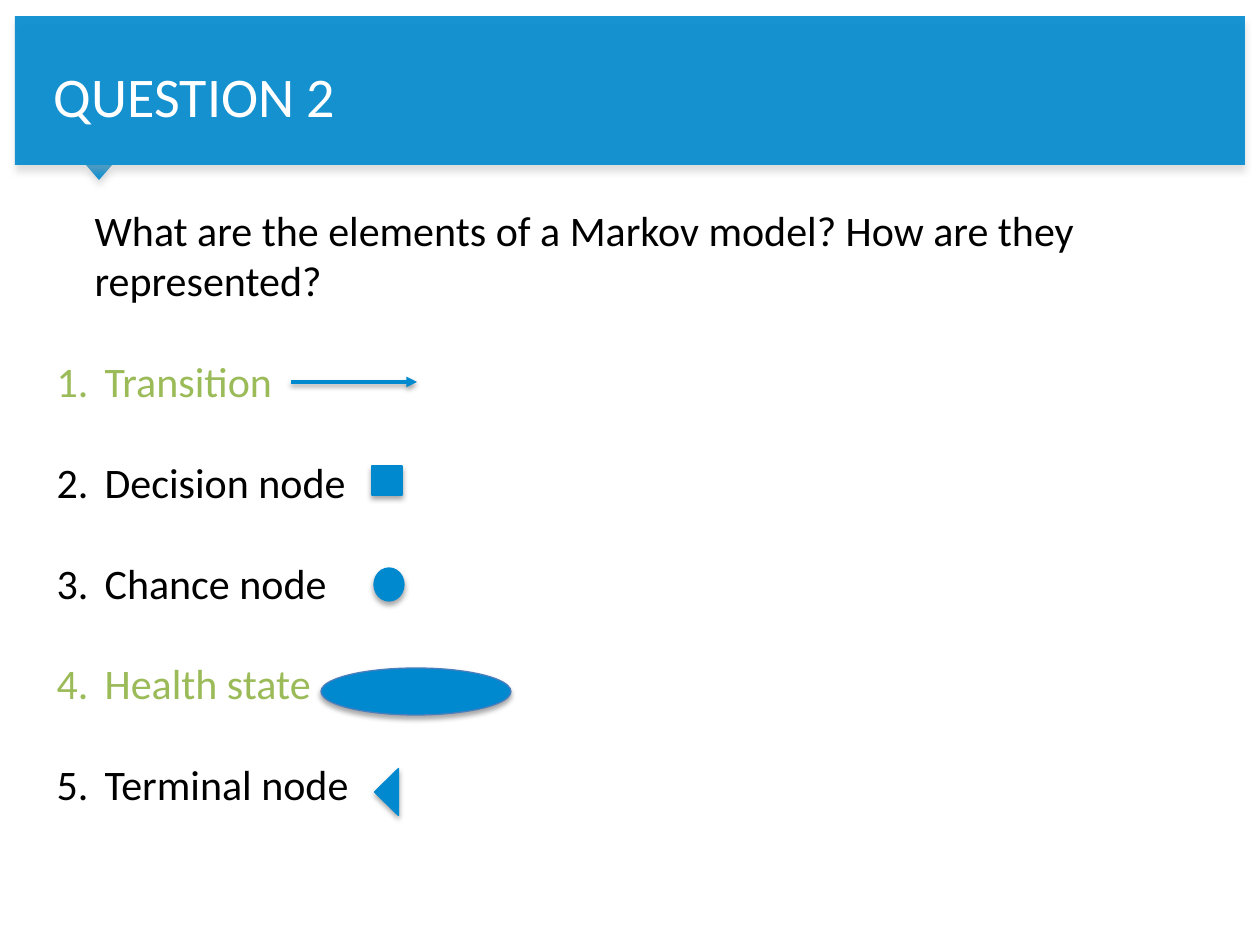
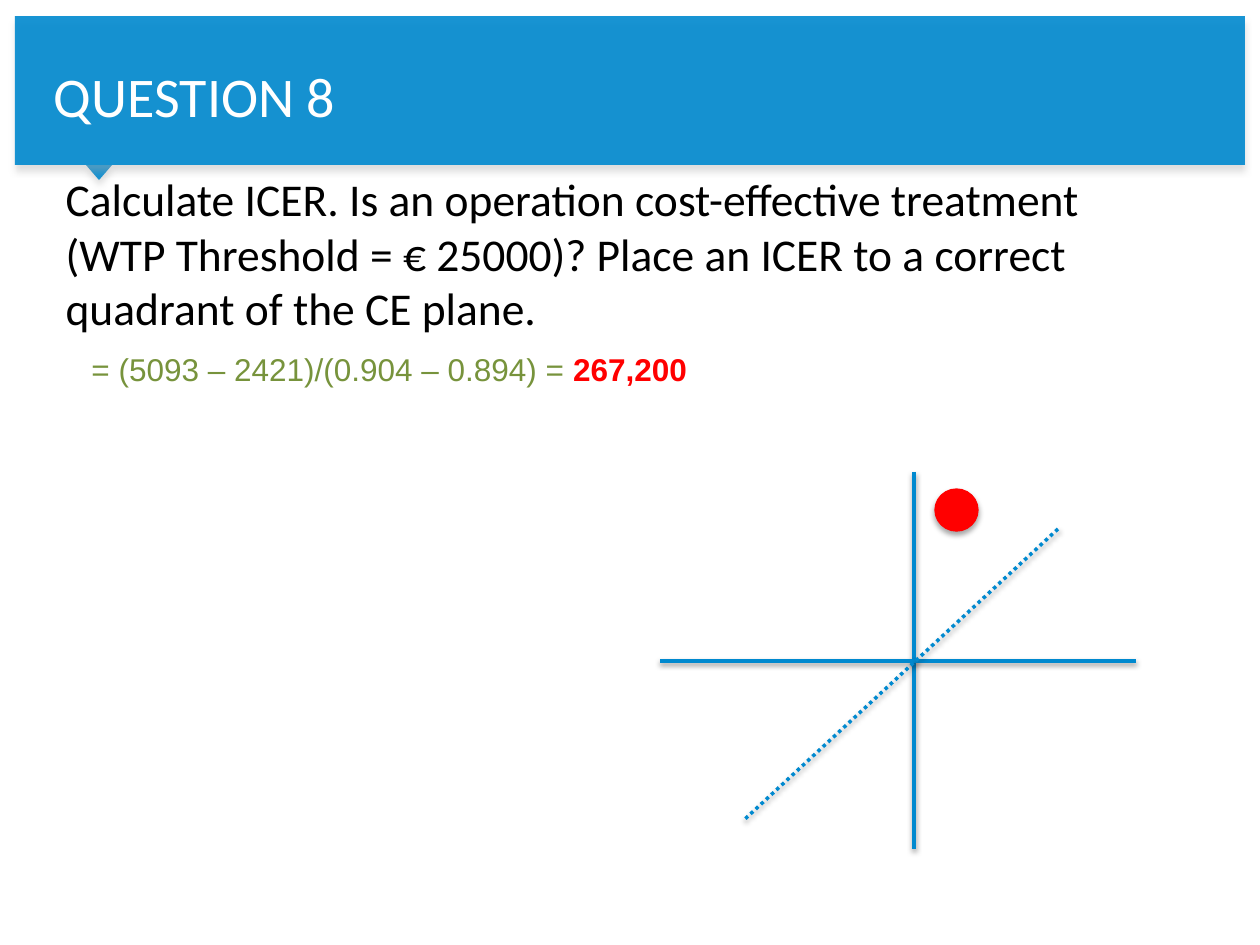
"""Build two quiz slides on Markov model elements and the cost-effectiveness plane."""
from pptx import Presentation
from pptx import util as u
from pptx.dml.color import RGBColor
from pptx.enum import dml, shapes, text
from pptx.oxml import parse_xml
from pptx.oxml.ns import nsdecls, qn
from pptx.oxml.xmlchemy import OxmlElement

COLORS = {
    "blue": "0089CF", "edge": "4B7EBC", "white": "FFFFFF", "black": "000000",
    "answer": "9BBB59", "formula": "77933C", "red": "FF0000", "grey": "A6A6A6",
}
RGB = {name: RGBColor.from_string(code) for name, code in COLORS.items()}
SHADOWS = {
    "band": ("grey", 40, 4, 3),
    "node": ("black", 35, 3.1, 1.8),
    "line": ("black", 38, 3.1, 1.6),
}


def px(*values):
    """Turn pixels into EMU."""
    return [u.Emu(v * 914400 // 126) for v in values]


def style(sp, shadow, fill=None, alpha=None):
    """Give a shape its fill, transparency and shadow."""
    spPr = sp.element.spPr
    if fill:
        sp.fill.solid()
        sp.fill.fore_color.rgb = RGB[fill]
    if alpha:
        a = OxmlElement("a:alpha")
        a.set("val", str(alpha * 1000))
        spPr.find(".//" + qn("a:srgbClr")).append(a)
    color, strength, blur, dist = SHADOWS[shadow]
    for old in spPr.findall(qn("a:effectLst")):
        spPr.remove(old)
    spPr.append(parse_xml(
        f'<a:effectLst {nsdecls("a")}><a:outerShdw blurRad="{u.Pt(blur)}" dist="{u.Pt(dist)}" '
        f'dir="5400000" rotWithShape="0"><a:srgbClr val="{COLORS[color]}">'
        f'<a:alpha val="{strength * 1000}"/></a:srgbClr></a:outerShdw></a:effectLst>'))


prs = Presentation()
prs.slide_width, prs.slide_height = px(1260, 945)
layout = prs.slide_layouts[1]

PAGES = [
    ("QUESTION 2", (44, 198), 24,
     "What are the elements of a Markov model? How are they represented?",
     [("Transition", "answer"), ("Decision node", "black"), ("Chance node", "black"),
      ("Health state", "answer"), ("Terminal node", "black")]),
    ("QUESTION 8", (15, 165), 26,
     "Calculate ICER. Is an operation cost-effective treatment (WTP Threshold = € 25000)? "
     "Place an ICER to a correct quadrant of the CE plane.", []),
]

for title, corner, size, question, items in PAGES:
    s = prs.slides.add_slide(layout)
    sp = s.shapes.title
    sp.left, sp.top, sp.width, sp.height = px(15, 16, 1230, 149)
    sp.line.fill.background()
    style(sp, "band", "blue", 90)
    tf = sp.text_frame
    tf.text = title
    tf.auto_size = text.MSO_AUTO_SIZE.NONE
    tf.vertical_anchor = text.MSO_ANCHOR.MIDDLE
    tf.margin_left, tf.margin_top, tf.margin_right, tf.margin_bottom = px(39, 20, 10, 10)
    p = tf.paragraphs[0]
    p.alignment = text.PP_ALIGN.LEFT
    f = p.runs[0].font
    f.name, f.size, f.color.rgb = "Calibri", u.Pt(32), RGB["white"]

    sp = s.placeholders[1]
    sp.left, sp.top, sp.width, sp.height = px(*corner, 1166, 684)
    tf = sp.text_frame
    tf.auto_size = text.MSO_AUTO_SIZE.NONE
    for i, (line, color) in enumerate([(question, "black")] + items):
        p = tf.add_paragraph() if i else tf.paragraphs[0]
        p.text = line
        p.space_before = u.Pt(28.8 if i else 0)
        p.alignment = text.PP_ALIGN.JUSTIFY if i else text.PP_ALIGN.LEFT
        margin, indent = px(48, -48) if i else px(38, 0)
        pPr = p._p.get_or_add_pPr()
        pPr.set("marL", str(margin))
        pPr.set("indent", str(indent))
        bullet = OxmlElement("a:buAutoNum" if i else "a:buNone")
        if i:
            bullet.set("type", "arabicPeriod")
        pPr.append(bullet)
        f = p.runs[0].font
        f.name, f.size, f.color.rgb = "Calibri", u.Pt(size), RGB[color]

markov, plane = prs.slides

sp = markov.shapes.add_shape(shapes.MSO_SHAPE.ISOSCELES_TRIANGLE, *px(86, 165, 26, 15))
sp.rotation = 180
sp.line.fill.background()
style(sp, "band", "blue", 90)
layout.shapes.element.append(sp.element)

SHAPE = shapes.MSO_SHAPE
NODES = [
    (markov, SHAPE.RECTANGLE, (372, 466, 30, 29), 0, "blue", "blue"),
    (markov, SHAPE.OVAL, (374, 568, 30, 33), 0, "blue", "blue"),
    (markov, SHAPE.OVAL, (321, 668, 190, 47), 0, "blue", "edge"),
    (markov, SHAPE.ISOSCELES_TRIANGLE, (363, 780, 47, 24), 270, "blue", "blue"),
    (plane, SHAPE.OVAL, (935, 489, 43, 42), 0, "red", "red"),
]
for s, kind, box, turn, fill, edge in NODES:
    sp = s.shapes.add_shape(kind, *px(*box))
    sp.rotation = turn
    sp.line.color.rgb = RGB[edge]
    sp.line.width = u.Pt(0.75)
    style(sp, "node", fill)

LINES = [
    (markov, (291, 382, 417, 382), None, True),
    (plane, (914, 472, 914, 849), None, False),
    (plane, (660, 661, 1136, 661), None, False),
    (plane, (1058, 529, 745, 819), dml.MSO_LINE.ROUND_DOT, False),
]
for s, ends, dash, arrow in LINES:
    sp = s.shapes.add_connector(shapes.MSO_CONNECTOR.STRAIGHT, *px(*ends))
    sp.line.color.rgb = RGB["blue"]
    sp.line.width = u.Pt(2)
    if dash:
        sp.line.dash_style = dash
    if arrow:
        tail = OxmlElement("a:tailEnd")
        tail.set("type", "triangle")
        sp.line._get_or_add_ln().append(tail)
    style(sp, "line")

sp = plane.shapes.add_textbox(*px(79, 344, 651, 89))
tf = sp.text_frame
tf.word_wrap = True
p = tf.paragraphs[0]
for part, color, bold in [("= (5093 – 2421)/(0.904 – 0.894) = ", "formula", False),
                          ("267,200", "red", True)]:
    r = p.add_run()
    r.text = part
    f = r.font
    f.name, f.size, f.bold, f.color.rgb = "Arial", u.Pt(18), bold, RGB[color]

prs.save("out.pptx")
